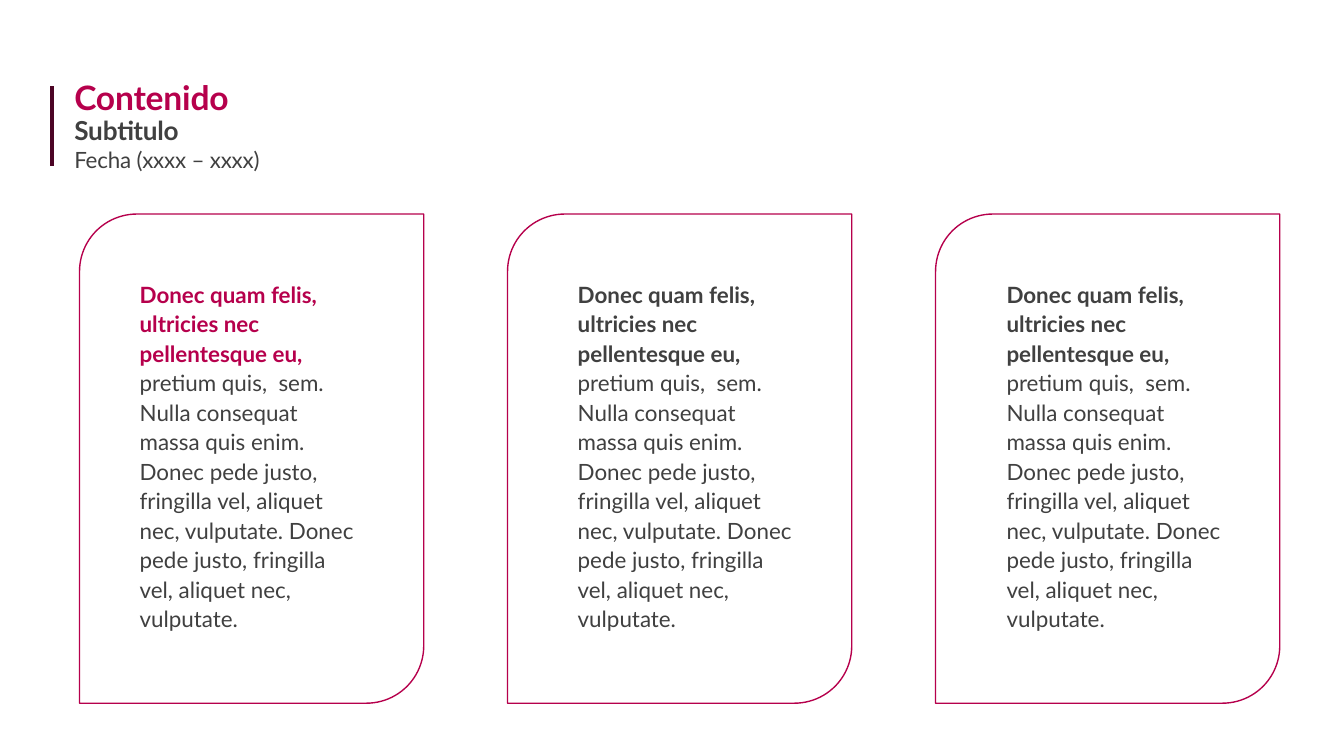
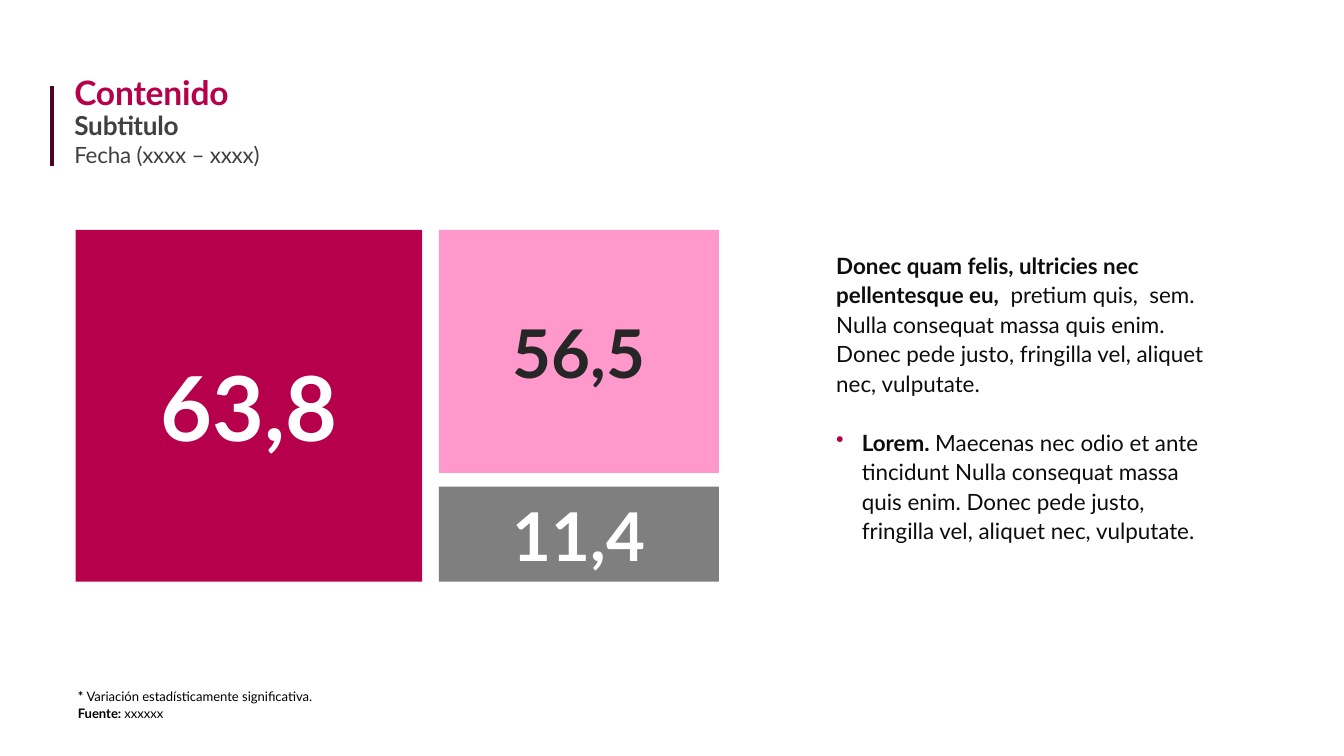
from dataclasses import dataclass
from typing import Optional

from lxml.etree import SubElement
from pptx import Presentation
from pptx.dml.color import RGBColor
from pptx.enum.shapes import MSO_CONNECTOR, MSO_SHAPE
from pptx.enum.text import MSO_ANCHOR, MSO_AUTO_SIZE, PP_ALIGN
from pptx.oxml.ns import qn
from pptx.util import Pt

# Shared style
FONT = "Lato"
CRIMSON = RGBColor(0xB6, 0x00, 0x4C)
MAROON = RGBColor(0x4C, 0x04, 0x25)
PINK = RGBColor(0xFF, 0x99, 0xCC)
GRAY = RGBColor(0x7F, 0x7F, 0x7F)
DARK_GRAY = RGBColor(0x40, 0x40, 0x40)
CHARCOAL = RGBColor(0x26, 0x26, 0x26)
NEAR_BLACK = RGBColor(0x0D, 0x0D, 0x0D)
BLACK = RGBColor(0x00, 0x00, 0x00)
WHITE = RGBColor(0xFF, 0xFF, 0xFF)

BODY_SIZE = 12
BODY_SPACING = 1.1
BODY_INDENT = 0.7
BULLET_INDENT = 14.4
BLANK_LINE = 15.8

# Wording
LEAD = "Donec quam felis, ultricies nec pellentesque eu,"
JUSTO = " Donec pede justo, fringilla vel, aliquet nec, vulputate."
BODY = "  pretium quis,  sem. Nulla consequat massa quis enim." + JUSTO
LOREM = "Maecenas nec odio et ante tincidunt Nulla consequat massa quis enim." + JUSTO


@dataclass(frozen=True)
class Box:
    left: float
    top: float
    width: float
    height: float

    def lengths(self) -> tuple:
        return Pt(self.left), Pt(self.top), Pt(self.width), Pt(self.height)


@dataclass(frozen=True)
class Span:
    text: str
    color: RGBColor
    size: float = BODY_SIZE
    bold: bool = False


@dataclass(frozen=True)
class Line:
    spans: tuple
    spacing: Optional[float] = None
    indent: float = 0
    bullet: bool = False
    space_before: float = 0


@dataclass(frozen=True)
class Card:
    text_left: float
    lead_color: RGBColor


@dataclass(frozen=True)
class Tile:
    value: str
    box: Box
    fill: RGBColor
    color: RGBColor
    size: float


HEADING = (
    Line((Span("Contenido", CRIMSON, 18, True),), 0.9),
    Line((Span("Subtitulo", DARK_GRAY, 14, True),), 0.9),
    Line((Span("Fecha (xxxx – xxxx)", DARK_GRAY),)),
)

CARDS = (
    Card(67, CRIMSON),
    Card(301.7, DARK_GRAY),
    Card(531.4, DARK_GRAY),
)
CARD_LEFT, CARD_STEP = 42.6, 229.3

TILES = (
    Tile("63,8", Box(40.6, 123.2, 185.6, 188.5), CRIMSON, WHITE, 48),
    Tile("56,5", Box(235.2, 123.2, 150, 130.2), PINK, CHARCOAL, 36),
    Tile("11,4", Box(235.2, 260.8, 150, 50.9), GRAY, WHITE, 36),
)

COMMENTARY = (
    Line((Span(LEAD, NEAR_BLACK, bold=True), Span(BODY, NEAR_BLACK)),
         BODY_SPACING, BODY_INDENT),
    Line((Span("Lorem. ", NEAR_BLACK, bold=True), Span(LOREM, NEAR_BLACK)),
         BODY_SPACING, BULLET_INDENT, bullet=True, space_before=BLANK_LINE),
)

FOOTNOTES = (
    Line((Span("* ", BLACK, 7, True),
          Span("Variación estadísticamente significativa.", BLACK, 7)), 1.07),
    Line((Span("Fuente: ", BLACK, 7, True), Span("xxxxxx", BLACK, 7)), 1.07),
)


def add_bullet(paragraph) -> None:
    properties = paragraph._p.get_or_add_pPr()
    properties.set("indent", str(Pt(-13.7)))
    color = SubElement(properties, qn("a:buClr"))
    SubElement(color, qn("a:srgbClr")).set("val", str(CRIMSON))
    SubElement(properties, qn("a:buChar")).set("char", "•")


def write_lines(text_frame, lines: tuple) -> None:
    text_frame.word_wrap = True
    text_frame.auto_size = MSO_AUTO_SIZE.NONE
    text_frame.vertical_anchor = MSO_ANCHOR.TOP
    for index, line in enumerate(lines):
        paragraph = text_frame.add_paragraph() if index else text_frame.paragraphs[0]
        if line.indent:
            paragraph._p.get_or_add_pPr().set("marL", str(Pt(line.indent)))
        if line.bullet:
            add_bullet(paragraph)
        paragraph.alignment = PP_ALIGN.LEFT
        if line.spacing:
            paragraph.line_spacing = line.spacing
        if line.space_before:
            paragraph.space_before = Pt(line.space_before)
        for span in line.spans:
            run = paragraph.add_run()
            run.text = span.text
            format_run(run, span.color, span.size, span.bold)


def format_run(run, color: RGBColor, size: float, bold: bool) -> None:
    run.font.name = FONT
    run.font.size = Pt(size)
    run.font.bold = bold
    run.font.color.rgb = color


def add_text(slide, box: Box, lines: tuple) -> None:
    write_lines(slide.shapes.add_textbox(*box.lengths()).text_frame, lines)


def add_headed_slide(presentation, title_top: float):
    slide = presentation.slides.add_slide(presentation.slide_layouts[5])
    title = slide.shapes.title
    title.left, title.top, title.width, title.height = Box(
        34.6, title_top, 612, 54.7).lengths()
    text_frame = title.text_frame
    text_frame.margin_left = text_frame.margin_right = Pt(5.2)
    text_frame.margin_top = text_frame.margin_bottom = Pt(2.7)
    write_lines(text_frame, HEADING)
    for paragraph in text_frame.paragraphs:
        for run in paragraph.runs:
            run.font._element.set("spc", "-10")

    # Vertical bar beside the heading
    bar = slide.shapes.add_connector(
        MSO_CONNECTOR.STRAIGHT, Pt(28), Pt(88.7), Pt(28), Pt(46.1))
    bar.line.color.rgb = MAROON
    bar.line.width = Pt(2)
    SubElement(bar._element.spPr, qn("a:effectLst"))
    return slide


def add_card(slide, card: Card, left: float) -> None:
    outline = slide.shapes.add_shape(
        MSO_SHAPE.ROUND_2_DIAG_RECTANGLE, *Box(left, 114.7, 184.4, 262.1).lengths())
    outline.shadow.inherit = False
    outline.fill.background()
    outline.line.color.rgb = CRIMSON
    outline.line.width = Pt(0.75)
    spans = (Span(LEAD, card.lead_color, bold=True), Span(BODY + JUSTO, DARK_GRAY))
    add_text(slide, Box(card.text_left, 145.4, 130.3, 229.7),
             (Line(spans, BODY_SPACING, BODY_INDENT),))


def add_tile(slide, tile: Tile) -> None:
    shape = slide.shapes.add_shape(MSO_SHAPE.RECTANGLE, *tile.box.lengths())
    shape.shadow.inherit = False
    shape.fill.solid()
    shape.fill.fore_color.rgb = tile.fill
    shape.line.fill.background()
    text_frame = shape.text_frame
    text_frame.text = tile.value
    text_frame.vertical_anchor = MSO_ANCHOR.MIDDLE
    paragraph = text_frame.paragraphs[0]
    paragraph.alignment = PP_ALIGN.CENTER
    format_run(paragraph.runs[0], tile.color, tile.size, True)


def main() -> None:
    presentation = Presentation()
    presentation.slide_width, presentation.slide_height = Pt(720), Pt(405)

    # Three outlined cards
    slide = add_headed_slide(presentation, 41.2)
    for index, card in enumerate(CARDS):
        add_card(slide, card, CARD_LEFT + index * CARD_STEP)

    # Value tiles with commentary
    slide = add_headed_slide(presentation, 38.2)
    for tile in TILES:
        add_tile(slide, tile)
    add_text(slide, Box(440.2, 130, 217.4, 182.2), COMMENTARY)
    add_text(slide, Box(34.6, 365, 663, 24.5), FOOTNOTES)

    presentation.save("out.pptx")


if __name__ == "__main__":
    main()
